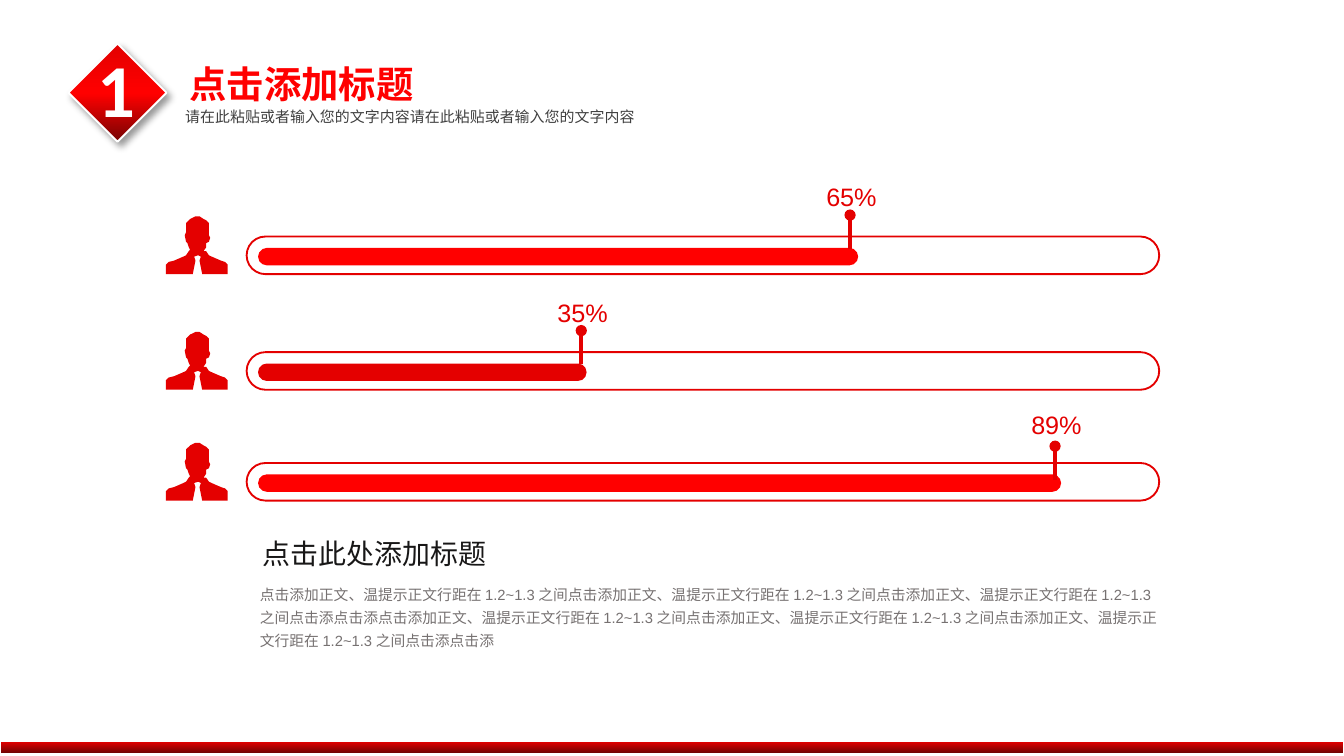
"""Build a slide with three percentage bars, each led by a person icon."""
from lxml.etree import SubElement
from pptx import Presentation
from pptx.dml.color import RGBColor
from pptx.enum.shapes import MSO_CONNECTOR, MSO_SHAPE
from pptx.enum.text import MSO_AUTO_SIZE, PP_ALIGN
from pptx.oxml.ns import qn
from pptx.util import Inches, Pt

COLORS = {
    "red": "E40000", "bright": "FF0000", "top": "E30000", "dark": "760303",
    "white": "FFFFFF", "black": "000000", "subtitle": "404040",
    "heading": "181717", "body": "767171",
}
CJK = "Noto Sans CJK SC"

deck = Presentation()
deck.slide_width = Inches(10)
deck.slide_height = deck.slide_width * 9 // 16
page = deck.slides.add_slide(deck.slide_layouts[6])
column, row = deck.slide_width / 100, deck.slide_height / 56.25


def add_shape(kind, left, top, width, height, fill=None, line=None, stops=()):
    shape = page.shapes.add_shape(kind, int(left * column), int(top * row),
                                  int(width * column), int(height * row))
    shape.shadow.inherit = False
    if stops:
        shape.fill.gradient()
        shape.fill.gradient_angle = 270
        stop_list = shape._element.spPr.find(".//" + qn("a:gsLst"))
        stop_list.clear()
        for position, color in stops:
            stop = SubElement(stop_list, qn("a:gs"), pos=str(position * 1000))
            SubElement(stop, qn("a:srgbClr"), val=COLORS[color])
    elif fill:
        shape.fill.solid()
        shape.fill.fore_color.rgb = RGBColor.from_string(COLORS[fill])
    else:
        shape.fill.background()
    if line:
        shape.line.color.rgb = RGBColor.from_string(COLORS[line])
        shape.line.width = Pt(1)
    else:
        shape.line.fill.background()
    if kind == MSO_SHAPE.ROUNDED_RECTANGLE:
        shape.adjustments[0] = 0.5
    return shape


def add_text(text, left, top, width, height, size, font, color, bold=False, wrap=True):
    box = page.shapes.add_textbox(int(left * column), int(top * row),
                                  int(width * column), int(height * row))
    box.text_frame.word_wrap = wrap
    box.text_frame.auto_size = MSO_AUTO_SIZE.SHAPE_TO_FIT_TEXT
    para = box.text_frame.paragraphs[0]
    para.text = text
    para.font.size, para.font.name, para.font.bold = Pt(size), font, bold
    para.font.color.rgb = RGBColor.from_string(COLORS[color])
    SubElement(para.font._element, qn("a:ea"), typeface=CJK)
    return para


badge = add_shape(MSO_SHAPE.DIAMOND, 5.1, 3.25, 7.3, 7.3, line="white",
                  stops=[(0, "top"), (51, "bright"), (100, "dark")])
effects = badge._element.spPr.find(qn("a:effectLst"))
shadow = SubElement(effects, qn("a:outerShdw"), blurRad=str(Pt(4)), dist=str(Pt(3)),
                    dir="2700000", algn="tl", rotWithShape="0")
shadow_color = SubElement(shadow, qn("a:srgbClr"), val=COLORS["black"])
SubElement(shadow_color, qn("a:alpha"), val="40000")

add_text("1", 6.3, 2.7, 3.1, 7.7, 40, "Calibri", "white", bold=True)
title = add_text("点击添加标题 ", 12.65, 4.1, 20.2, 4.3, 20, CJK, "bright", bold=True, wrap=False)
title.alignment = PP_ALIGN.CENTER
add_text("请在此粘贴或者输入您的文字内容请在此粘贴或者输入您的文字内容",
         12.8, 7.5, 48.3, 3.7, 8, CJK, "subtitle")

person_points = [
    (46, 37), (44, 35), (41, 34), (34, 31), (32, 30), (30, 27), (28, 27), (30, 24),
    (30, 21), (32, 20), (33, 17), (32, 15), (32, 6), (30, 4), (28, 3), (25, 1),
    (22, 1), (18, 3), (15, 6), (15, 13), (14, 15), (15, 20), (16, 21), (17, 24),
    (18, 26), (17, 27), (15, 30), (13, 31), (6, 34), (2, 35), (0, 37), (0, 44),
    (20, 44), (22, 34), (21, 31), (24, 30), (26, 31), (25, 34), (27, 44), (46, 44),
]
bars = [
    ("65%", 17.6, 44.65, "bright", 63.25, 16, 13),
    ("35%", 26.2, 24.45, "red", 43.25, 24.6, 21.6),
    ("89%", 34.45, 59.75, "bright", 78.5, 33.2, 30),
]
for label, top, length, color, pin_left, pin_top, label_top in bars:
    add_shape(MSO_SHAPE.ROUNDED_RECTANGLE, 18.35, top, 67.9, 2.8, line="red")

    builder = page.shapes.build_freeform(*person_points[0], scale=column / 10)
    builder.add_line_segments(person_points[1:], close=True)
    person = builder.convert_to_shape(int(12.35 * column), int((top - 1.6) * row))
    person.shadow.inherit = False
    person.fill.solid()
    person.fill.fore_color.rgb = RGBColor.from_string(COLORS["red"])
    person.line.fill.background()

    add_shape(MSO_SHAPE.ROUNDED_RECTANGLE, 19.2, top + 0.85, length, 1.3, fill=color)

    add_text(label, pin_left - 2.75, label_top, 5.7, 3.3, 13.5, "Arial", "red", wrap=False)
    pin = page.shapes.add_connector(
        MSO_CONNECTOR.STRAIGHT, int(pin_left * column), int(pin_top * row),
        int(pin_left * column), int((pin_top + 2.5) * row))
    pin.line.color.rgb = RGBColor.from_string(COLORS["red"])
    pin.line.width = Pt(2)
    SubElement(pin.line._get_or_add_ln(), qn("a:headEnd"), type="oval")
    SubElement(pin._element.spPr, qn("a:effectLst"))

add_text("点击此处添加标题", 18.55, 39.45, 23.3, 3.5, 15, "Arial", "heading")
body = add_text(
    "点击添加正文、温提示正文行距在1.2~1.3之间点击添加正文、温提示正文行距在1.2~1.3之间"
    "点击添加正文、温提示正文行距在1.2~1.3之间点击添点击添点击添加正文、温提示正文行距在1.2~1.3之间"
    "点击添加正文、温提示正文行距在1.2~1.3之间点击添加正文、温提示正文行距在1.2~1.3之间点击添点击添",
    18.35, 42.7, 69.3, 6.1, 7.9, "Arial", "body")
body.line_spacing = 1.3

add_shape(MSO_SHAPE.RECTANGLE, 0.05, 55.2, 99.9, 0.8, stops=[(0, "top"), (100, "dark")])

deck.save("out.pptx")
